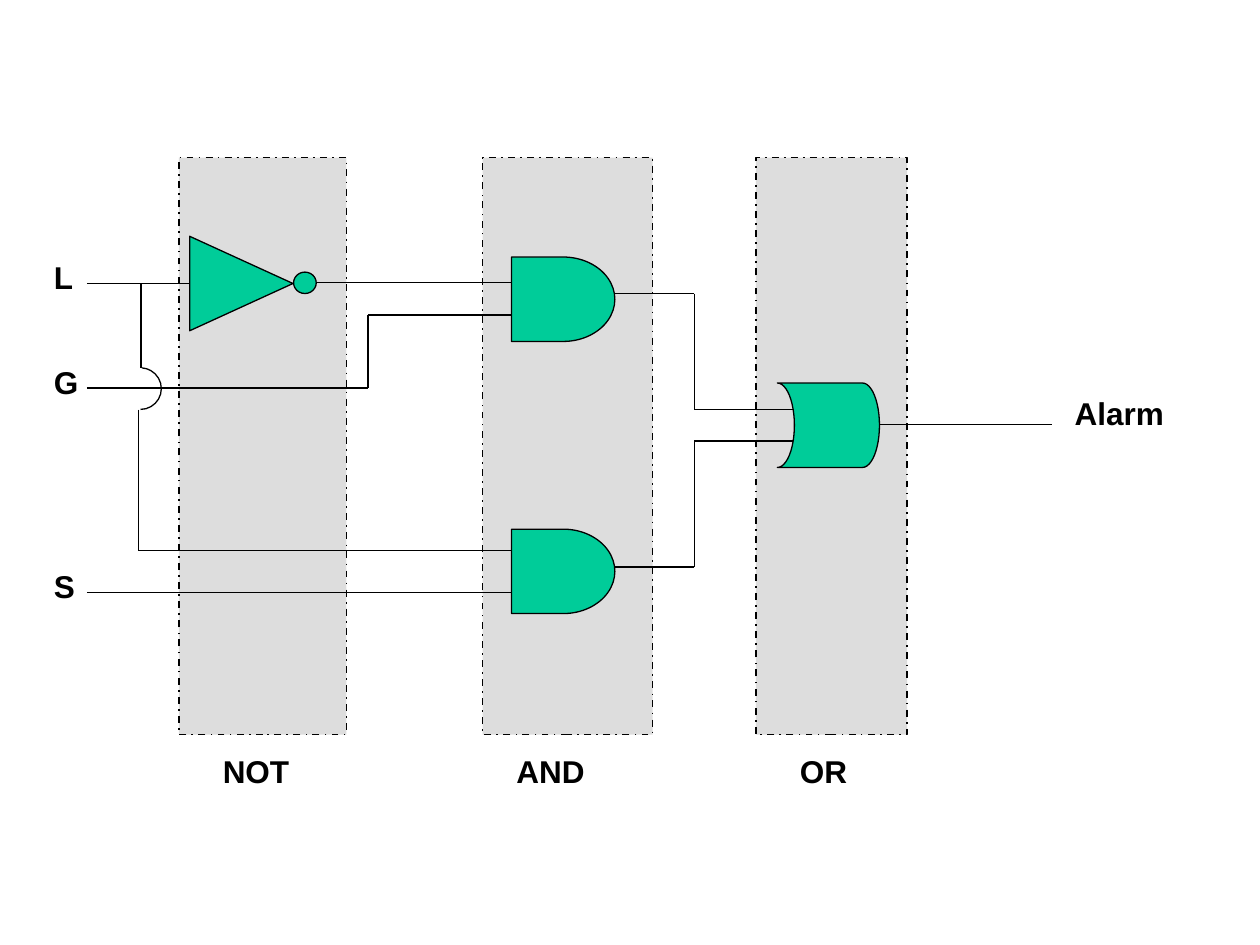
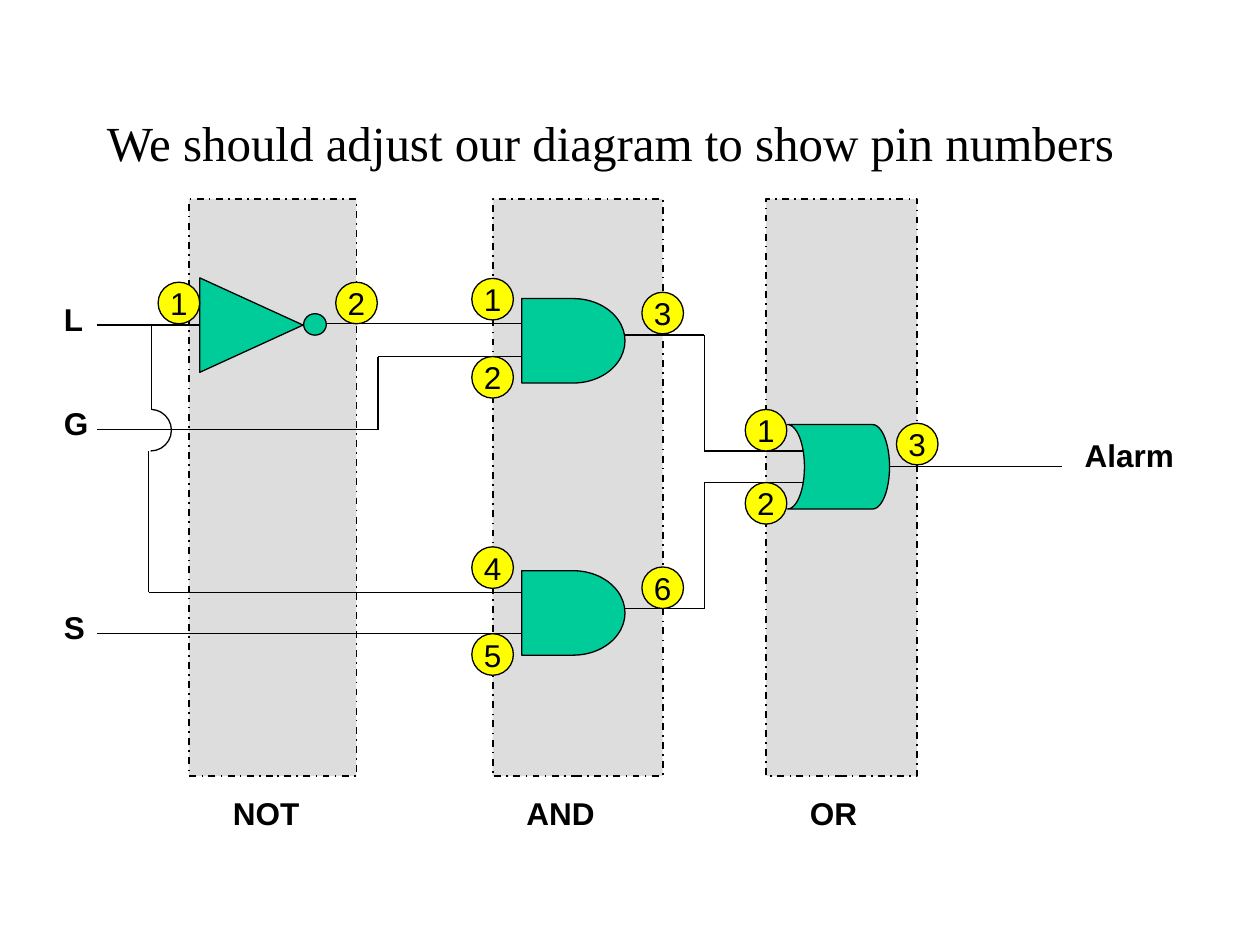
from dataclasses import dataclass
from itertools import pairwise
from typing import Any, NamedTuple

from lxml import etree
from pptx import Presentation
from pptx.dml.color import RGBColor
from pptx.enum.dml import MSO_LINE
from pptx.enum.shapes import MSO_CONNECTOR, MSO_SHAPE
from pptx.enum.text import MSO_ANCHOR, PP_ALIGN
from pptx.oxml.ns import qn
from pptx.shapes.autoshape import Shape
from pptx.slide import Slide
from pptx.util import Inches, Pt

RECT, OVAL, ARC = MSO_SHAPE.RECTANGLE, MSO_SHAPE.OVAL, MSO_SHAPE.ARC
AND_FORM = MSO_SHAPE.FLOWCHART_DELAY
OR_FORM = MSO_SHAPE.FLOWCHART_STORED_DATA
NOT_FORM = MSO_SHAPE.FLOWCHART_EXTRACT
DOT_FORM = MSO_SHAPE.FLOWCHART_CONNECTOR
STRAIGHT = MSO_CONNECTOR.STRAIGHT
DASH = MSO_LINE.DASH_DOT
LEFT, MID = PP_ALIGN.LEFT, PP_ALIGN.CENTER
TOP, CENTER = MSO_ANCHOR.TOP, MSO_ANCHOR.MIDDLE

BLACK, GRAY, GREEN, YELLOW = "000000", "DDDDDD", "00CC99", "FFFF00"
THIN, BROAD = 0.75, 1
PIN = 0.33
LABEL = {"name": "Arial", "size": Pt(18), "bold": True}
DIGIT = {"name": "Arial", "size": Pt(18), "bold": False}
TITLE = {"name": "Times New Roman", "size": Pt(28), "bold": False}


class Point(NamedTuple):
    x: float
    y: float


class Box(NamedTuple):
    x: float
    y: float
    w: float
    h: float

    def move(self, by: Point) -> "Box":
        return Box(self.x + by.x, self.y + by.y, self.w, self.h)


@dataclass
class Band:
    x: float
    w: float
    name: str
    name_x: float
    name_w: float


@dataclass
class Gate:
    form: Any
    box: Box
    turn: int = 0
    flip: bool = False


@dataclass
class Label:
    text: str
    box: Box


@dataclass
class Pin:
    text: str
    x: float
    wire: float
    above: bool = True


BANDS = [
    Band(1.42, 1.33, "NOT", 1.67, 0.93),
    Band(6, 1.2, "OR", 6.25, 0.7),
    Band(3.83, 1.35, "AND", 4, 0.93),
]
GATES = [
    Gate(AND_FORM, Box(4.06, 2.04, 0.82, 0.67)),
    Gate(AND_FORM, Box(4.06, 4.2, 0.82, 0.67)),
    Gate(DOT_FORM, Box(2.33, 2.16, 0.18, 0.17)),
    Gate(NOT_FORM, Box(1.54, 1.84, 0.75, 0.82), turn=90),
]
OR_GATE = Gate(OR_FORM, Box(6.17, 3.04, 0.81, 0.67), flip=True)
HOP = Box(0.95, 2.92, 0.33, 0.33)
WIRES = [
    [(2.51, 2.24), (4.06, 2.24)],
    [(0.69, 2.25), (1.51, 2.25)],
    [(0.69, 4.7), (4.06, 4.7)],
    [(4.87, 4.5), (5.51, 4.5), (5.51, 3.5), (6.33, 3.5)],
    [(4.87, 2.33), (5.51, 2.33), (5.51, 3.25), (6.33, 3.25)],
    [(6.98, 3.37), (8.35, 3.37)],
    [(0.69, 3.08), (2.92, 3.08), (2.92, 2.5), (4.06, 2.5)],
    [(1.12, 2.25), (1.12, 2.92)],
    [(1.1, 3.25), (1.1, 4.37), (4.06, 4.37)],
]
LABELS = [
    Label("L", Box(0.33, 2, 0.46, 0.5)),
    Label("G", Box(0.33, 2.83, 0.5, 0.5)),
    Label("S", Box(0.33, 4.45, 0.46, 0.5)),
    Label("Alarm", Box(8.43, 3.08, 1.15, 0.5)),
]
PINS = [
    Pin("1", 1.34, 2.24),
    Pin("2", 2.75, 2.24),
    Pin("1", 3.83, 2.21),
    Pin("2", 3.83, 2.5, False),
    Pin("4", 3.83, 4.34),
    Pin("5", 3.83, 4.7, False),
    Pin("1", 6, 3.25),
    Pin("2", 6, 3.5, False),
    Pin("3", 7.2, 3.36),
    Pin("3", 5.18, 2.32),
    Pin("6", 5.18, 4.5),
]


def color(code: str) -> RGBColor:
    return RGBColor.from_string(code)


def set_all(item: Any, form: dict[str, Any]) -> None:
    for key, value in form.items():
        setattr(item, key, value)


def write(shape: Shape, text: str, font: dict[str, Any],
          align: Any = LEFT, anchor: Any = TOP, wrap: bool = True) -> None:
    frame = shape.text_frame
    set_all(frame, {"word_wrap": wrap, "vertical_anchor": anchor})
    para = frame.paragraphs[0]
    para.alignment = align
    run = para.add_run()
    run.text = text
    set_all(run.font, font)
    run.font.color.rgb = color(BLACK)


def add_text(slide: Slide, box: Box, text: str, font: dict[str, Any],
             anchor: Any = TOP) -> None:
    shape = slide.shapes.add_textbox(*map(Inches, box))
    write(shape, text, font, anchor=anchor)


def add_form(slide: Slide, form: Any, box: Box, fill: str | None,
             width: float = THIN) -> Shape:
    shape = slide.shapes.add_shape(form, *map(Inches, box))
    shape.shadow.inherit = False
    if fill:
        shape.fill.solid()
        shape.fill.fore_color.rgb = color(fill)
    else:
        shape.fill.background()
    shape.line.color.rgb = color(BLACK)
    shape.line.width = Pt(width)
    return shape


def add_band(slide: Slide, band: Band, by: Point) -> None:
    box = Box(band.x, 1.25, band.w, 4.58).move(by)
    add_form(slide, RECT, box, GRAY, BROAD).line.dash_style = DASH
    name = Box(band.name_x, 5.92, band.name_w, 0.5).move(by)
    add_text(slide, name, band.name, LABEL)


def add_gate(slide: Slide, gate: Gate, by: Point) -> None:
    shape = add_form(slide, gate.form, gate.box.move(by), GREEN)
    shape.rotation = gate.turn
    if gate.flip:
        shape.element.spPr.find(qn("a:xfrm")).set("flipH", "1")


def add_wire(slide: Slide, wire: list[tuple[float, float]], by: Point) -> None:
    spots = [(Inches(x + by.x), Inches(y + by.y)) for x, y in wire]
    for start, end in pairwise(spots):
        line = slide.shapes.add_connector(STRAIGHT, *start, *end)
        line.line.color.rgb = color(BLACK)
        line.line.width = Pt(THIN)
        etree.SubElement(line.element.spPr, qn("a:effectLst"))


def add_hop(slide: Slide, by: Point) -> None:
    hop = add_form(slide, ARC, HOP.move(by), None)
    hop.rotation = 90
    hop.adjustments[0] = 110.31
    hop.adjustments[1] = 0


def add_pin(slide: Slide, pin: Pin, by: Point) -> None:
    top = pin.wire - PIN if pin.above else pin.wire
    box = Box(pin.x - PIN / 2, top, PIN, PIN).move(by)
    shape = add_form(slide, OVAL, box, YELLOW)
    write(shape, pin.text, DIGIT, MID, CENTER, wrap=False)


def draw(slide: Slide, by: Point) -> None:
    for band in BANDS:
        add_band(slide, band, by)
    for gate in GATES:
        add_gate(slide, gate, by)
    for wire in WIRES:
        add_wire(slide, wire, by)
    for label in LABELS:
        add_text(slide, label.box.move(by), label.text, LABEL)
    add_gate(slide, OR_GATE, by)
    add_hop(slide, by)


def main() -> None:
    deck = Presentation()
    set_all(deck, {"slide_width": Inches(10), "slide_height": Inches(7.5)})
    blank = deck.slide_layouts[6]

    draw(deck.slides.add_slide(blank), Point(0, 0))

    shift = Point(0.08, 0.33)
    pinned = deck.slides.add_slide(blank)
    draw(pinned, shift)
    add_text(pinned, Box(0.75, 0.5, 8.5, 1.25),
             "We should adjust our diagram to show pin numbers", TITLE, CENTER)
    for pin in PINS:
        add_pin(pinned, pin, shift)

    deck.save("out.pptx")


if __name__ == "__main__":
    main()
